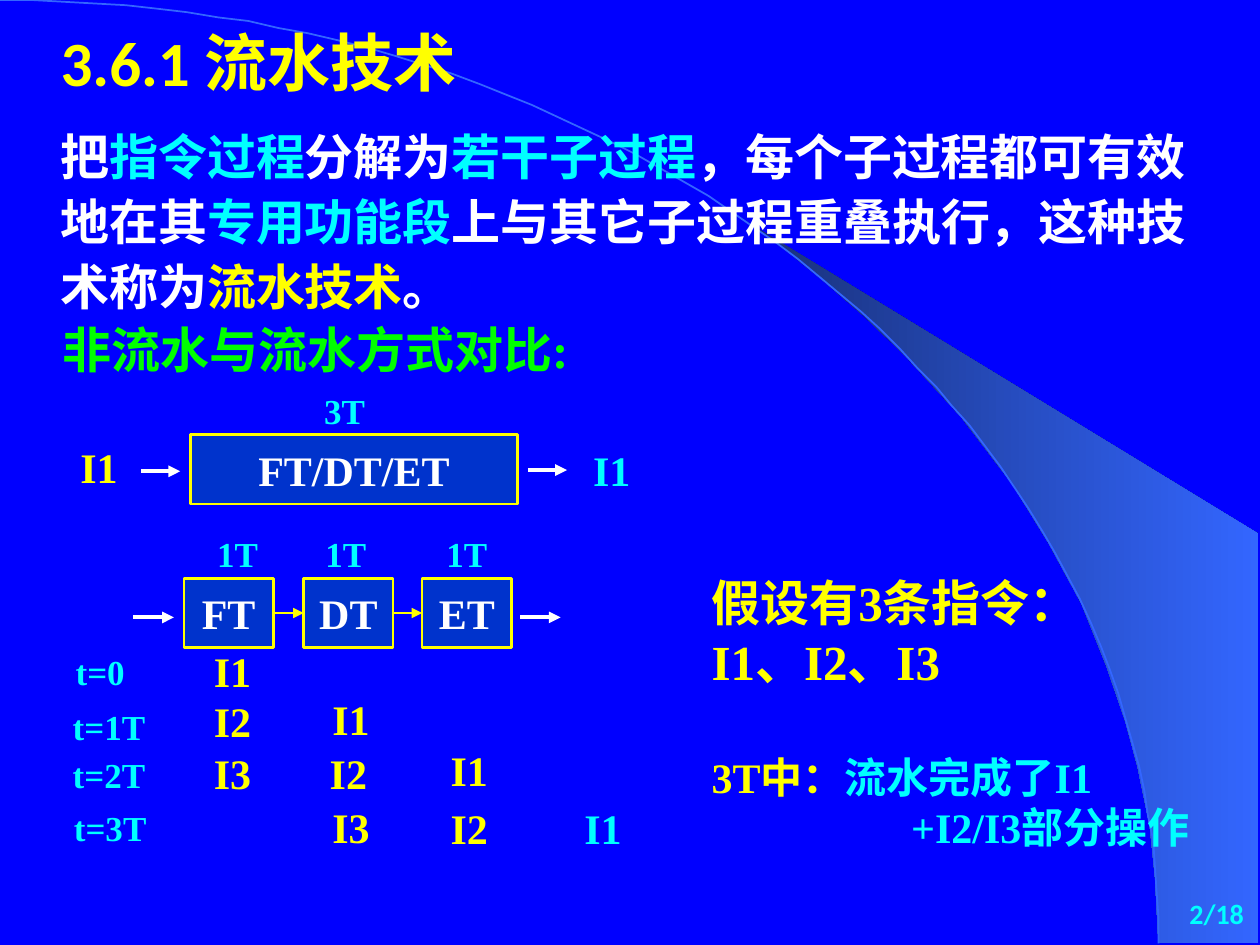
"""Build the slide that contrasts plain and pipelined instruction flow."""
from typing import NamedTuple

from lxml import etree
from pptx import Presentation
from pptx.dml.color import RGBColor
from pptx.enum import shapes as kinds, text as txt
from pptx.oxml import ns
from pptx.util import Pt

BLUE = RGBColor(0x00, 0x00, 0xFF)
NAVY = RGBColor(0x18, 0x2F, 0x76)
SKY = RGBColor(0x33, 0x66, 0xFF)
ROYAL = RGBColor(0x00, 0x33, 0xCC)
WHITE = RGBColor(0xFF, 0xFF, 0xFF)
YELLOW = RGBColor(0xFF, 0xFF, 0x00)
CYAN = RGBColor(0x00, 0xFF, 0xFF)
GREEN = RGBColor(0x00, 0xFF, 0x00)
SERIF, SANS = "Times New Roman", "Calibri"
LEFT, MID, RIGHT = txt.PP_ALIGN.LEFT, txt.PP_ALIGN.CENTER, txt.PP_ALIGN.RIGHT
TOP, HALF = txt.MSO_ANCHOR.TOP, txt.MSO_ANCHOR.MIDDLE
UNIT = Pt(1)
CELL = 51.1


class Box(NamedTuple):
    x: float
    y: float
    w: float
    h: float


class Label(NamedTuple):
    text: str
    x: float
    y: float
    color: RGBColor = YELLOW
    size: int = 24


class Block(NamedTuple):
    text: str
    box: Box


class Arrow(NamedTuple):
    x: float
    y: float
    end: float


WEDGE = [(662.4, 538.6), (719.3, 539.3), (719.3, 304.6), (424.1, 124.6),
         (449.3, 143.3), (470.2, 159.8), (493.2, 180), (515.5, 201.6),
         (548.6, 237.6), (578.2, 276.5), (599, 310.3), (617.8, 344.9),
         (632.2, 380.2), (643, 411.8), (650.2, 438.5), (657.4, 472.3),
         (660.2, 501.1)]
WHOLE = Block("FT/DT/ET", Box(108.7, 248.4, 187.2, 39.6))
STAGES = [Block(name, Box(x, 330.5, CELL, 39.6))
          for name, x in (("FT", 105.1), ("DT", 173.5), ("ET", 241.2))]
ARROWS = [Arrow(80.6, 269.3, 103), Arrow(301.7, 268.6, 324),
          Arrow(76.3, 352.8, 99.4), Arrow(297.4, 352.8, 320.4)]
LABELS = [
    Label("3T", 171.4, 223.2, CYAN, 20),
    Label("I1", 31, 254.9), Label("I1", 324, 257, CYAN),
    *(Label("1T", x, 304.6, CYAN, 20) for x in (110.2, 172.1, 241.2)),
    Label("t=0", 31.7, 372.2, CYAN, 20), Label("I1", 107.3, 371.5),
    Label("t=1T", 36.7, 403.9, CYAN, 20), Label("I2", 107.3, 400.3),
    Label("I1", 175, 398.9),
    Label("t=2T", 36.7, 431.3, CYAN, 20), Label("I3", 107.3, 429.8),
    Label("I2", 173.5, 429.8), Label("I1", 242.6, 428.4),
    Label("t=3T", 37.4, 461.5, CYAN, 20), Label("I3", 175, 460.8),
    Label("I2", 242.6, 461.5), Label("I1", 319, 461.5, CYAN),
]
INTRO = [("把", WHITE), ("指令过程", CYAN), ("分解为", WHITE),
         ("若干子过程", CYAN), ("，每个子过程都可有效地在其", WHITE),
         ("专用功能段", CYAN),
         ("上与其它子过程重叠执行，这种技术称为", WHITE),
         ("流水技术", YELLOW), ("。", WHITE)]


def write(shape, lines: list, size: float, face: str = SERIF,
          align=LEFT, anchor=HALF, wrap: bool = True) -> None:
    """Fill a shape with lines of (text, colour) runs."""
    frame = shape.text_frame
    frame.auto_size = txt.MSO_AUTO_SIZE.NONE
    frame.word_wrap = wrap
    frame.vertical_anchor = anchor
    for i, line in enumerate(lines):
        para = frame.paragraphs[0] if i == 0 else frame.add_paragraph()
        para.alignment = align
        for words, color in line:
            run = para.add_run()
            run.text = words
            run.font.name, run.font.size, run.font.bold = face, Pt(size), True
            run.font.color.rgb = color


def note(slide, box: Box, lines: list, size: float, **style):
    """Add a text box."""
    shape = slide.shapes.add_textbox(*map(Pt, box))
    write(shape, lines, size, **style)
    return shape


def mark(slide, item: Label) -> None:
    """Add a short centred label."""
    note(slide, Box(item.x, item.y, CELL, 23), [[(item.text, item.color)]],
         item.size, align=MID, wrap=False)


def block(slide, item: Block):
    """Add a framed pipeline block."""
    shape = slide.shapes.add_shape(kinds.MSO_SHAPE.RECTANGLE, *map(Pt, item.box))
    shape.shadow.inherit = False
    shape.fill.solid()
    shape.fill.fore_color.rgb = ROYAL
    shape.line.color.rgb = YELLOW
    shape.line.width = Pt(1.5)
    write(shape, [[(item.text, WHITE)]], 24, align=MID, wrap=False)
    return shape


def arrow(slide, item: Arrow, color: RGBColor, width: float):
    """Add a level arrow."""
    line = slide.shapes.add_connector(
        kinds.MSO_CONNECTOR.STRAIGHT, Pt(item.x), Pt(item.y), Pt(item.end), Pt(item.y))
    line.line.color.rgb = color
    line.line.width = Pt(width)
    etree.SubElement(line.line._get_or_add_ln(), ns.qn("a:tailEnd"), type="triangle")
    etree.SubElement(line.element.spPr, ns.qn("a:effectLst"))
    return line


def trace(slide, points: list, close: bool):
    """Add a freeform through the given points."""
    form = slide.shapes.build_freeform(*points[0], scale=UNIT)
    form.add_line_segments(points[1:], close=close)
    shape = form.convert_to_shape()
    shape.shadow.inherit = False
    return shape


def curve(steps: int = 60) -> list:
    """Return points on the quarter sweep."""
    out = []
    for i in range(steps + 1):
        t = i / steps
        s = 1 - t
        out.append((3 * s * s * t * 365.8 + (3 * s * t * t + t ** 3) * 662.4,
                    3 * s * t * t * 241.2 + t ** 3 * 539.3))
    return out


def sweep(slide) -> None:
    """Draw the wedge and arc behind the title."""
    wedge = trace(slide, WEDGE, True)
    wedge.line.fill.background()
    wedge.fill.gradient()
    wedge.fill.gradient_angle = 0
    for stop, color, at in zip(wedge.fill.gradient_stops, (NAVY, SKY), (0, 1)):
        stop.color.rgb = color
        stop.position = at
    arc = trace(slide, curve(), False)
    arc.fill.background()
    arc.line.color.rgb = SKY
    arc.line.width = Pt(1)
    for shape in (wedge, arc):
        slide.shapes.title.element.addprevious(shape.element)


def main() -> None:
    """Build and save the deck."""
    deck = Presentation()
    deck.slide_width, deck.slide_height = Pt(720), Pt(540)
    slide = deck.slides.add_slide(deck.slide_layouts[5])
    slide.background.fill.solid()
    slide.background.fill.fore_color.rgb = BLUE
    sweep(slide)
    title = slide.shapes.title
    title.left, title.top, title.width, title.height = map(Pt, (27.4, 10.1, 293, 50.4))
    write(title, [[("3.6.1 流水技术", YELLOW)]], 36, face=SANS, anchor=TOP)
    note(slide, Box(632.9, 509, 85, 28.1), [[("2/18", CYAN)]], 16,
         face=SANS, align=RIGHT, anchor=TOP)
    intro = note(slide, Box(27.4, 65.5, 679, 118.1), [INTRO], 28, anchor=TOP)
    intro.text_frame.paragraphs[0].line_spacing = 1.1
    note(slide, Box(28.8, 172.1, 306, 54.7), [[("非流水与流水方式对比:", GREEN)]], 28)
    note(slide, Box(399.6, 324.7, 254.9, 72),
         [[("假设有3条指令：", YELLOW)], [("I1、I2、I3", YELLOW)]], 28)
    result = note(slide, Box(399.6, 430.6, 306, 54.7),
                  [[("3T中：", YELLOW), ("流水完成了I1", CYAN)],
                   [("+I2/I3部分操作", CYAN)]], 24)
    result.text_frame.paragraphs[1]._p.get_or_add_pPr().set("marL", str(Pt(114)))
    block(slide, WHOLE)
    stages = [block(slide, item) for item in STAGES]
    for item in ARROWS:
        arrow(slide, item, WHITE, 2.25)
    for prev, succ in zip(stages, stages[1:]):
        link = arrow(slide, Arrow(0, 0, 1), YELLOW, 0.75)
        link.begin_connect(prev, 3)
        link.end_connect(succ, 1)
    for item in LABELS:
        mark(slide, item)
    deck.save("out.pptx")


if __name__ == "__main__":
    main()
